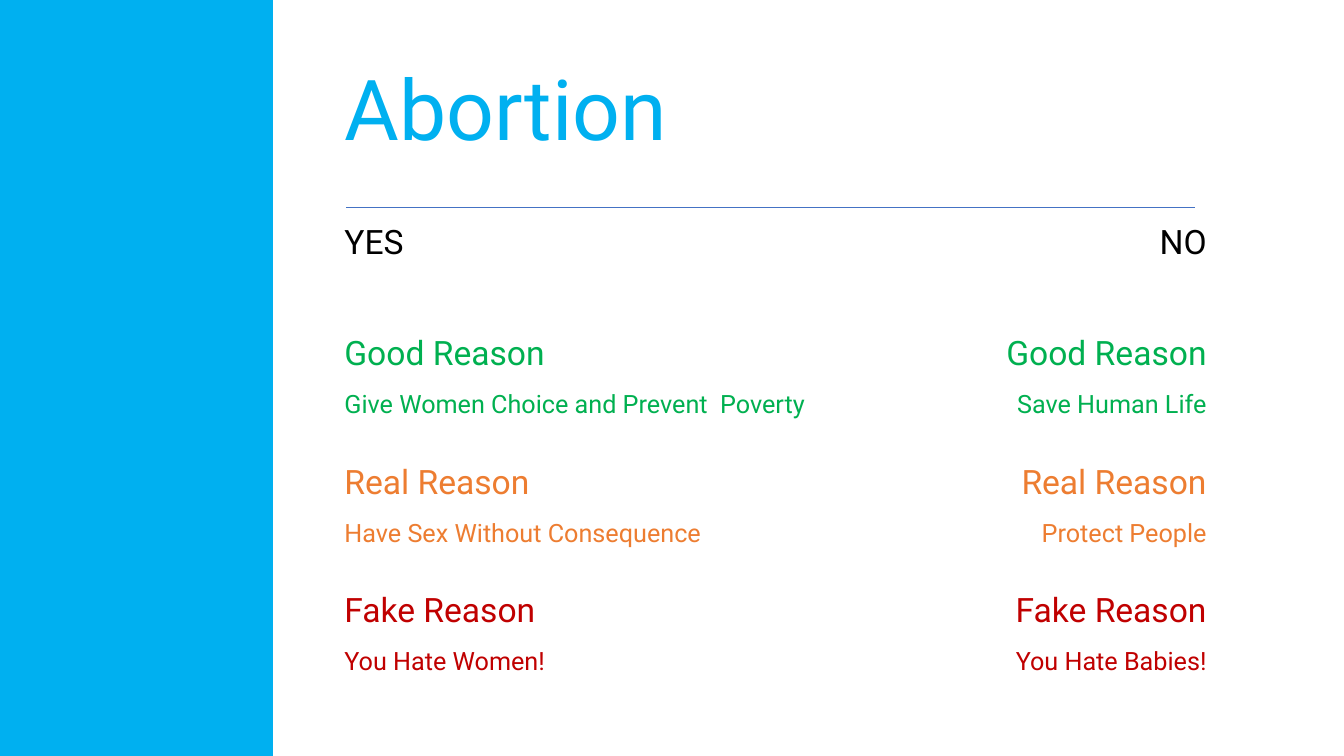
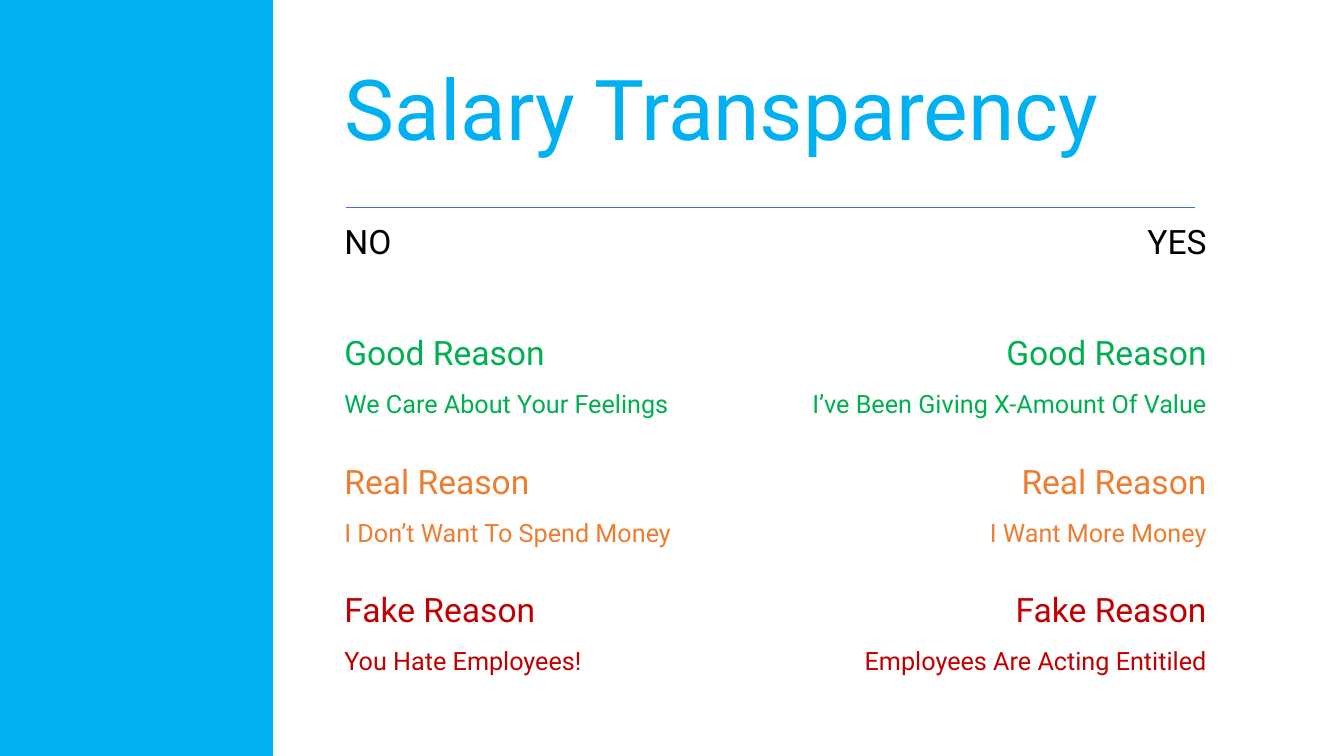
from pptx import Presentation
from pptx.dml.color import RGBColor as Rgb
from pptx.enum.shapes import MSO_CONNECTOR as Link, MSO_SHAPE as Form
from pptx.enum.text import MSO_ANCHOR as Anchor, MSO_AUTO_SIZE as Fit, PP_ALIGN as Align
from pptx.oxml.ns import qn
from pptx.util import Cm, Pt
from lxml.etree import SubElement

FONT = "Roboto"
HUES = {
    "band": "00B0F0",
    "rule": "4472C4",
    "side": "000000",
    "Good": "00B050",
    "Real": "ED7D31",
    "Fake": "C00000",
}
WIDE, HIGH = 33.87, 19.05
BODY = (8.43, 5.44, 22.23, 11.7)

DECK = [
    {
        "title": "Abortion",
        "split": 13.5,
        "sides": [
            ("YES", ["Give Women Choice and Prevent  Poverty",
                     "Have Sex Without Consequence", "You Hate Women!"]),
            ("NO", ["Save Human Life", "Protect People", "You Hate Babies!"]),
        ],
    },
    {
        "title": "Salary Transparency",
        "split": 11,
        "sides": [
            ("NO", ["We Care About Your Feelings",
                    "I Don’t Want To Spend Money", "You Hate Employees!"]),
            ("YES", ["I’ve Been Giving X-Amount Of Value",
                     "I Want More Money", "Employees Are Acting Entitiled"]),
        ],
    },
]


def tint(name):
    """Return the named colour."""
    return Rgb.from_string(HUES[name])


def write(shape, text, size=24, hue="side", align=Align.LEFT):
    """Fill a shape with one formatted paragraph."""
    frame = shape.text_frame
    frame.text = text
    frame.word_wrap = True
    frame.auto_size = Fit.NONE
    frame.vertical_anchor = Anchor.TOP
    line = frame.paragraphs[0]
    line.alignment = align
    line.line_spacing = 1.0
    font = line.runs[0].font
    font.name, font.size = FONT, Pt(size)
    font.color.rgb = tint(hue)


def label(slide, box, text, **style):
    """Add a text box in the given box."""
    write(slide.shapes.add_textbox(*map(Cm, box)), text, **style)


def frame(slide, title):
    """Place the title, the side band and the rule."""
    left, top, width, _ = BODY
    head = slide.shapes.title
    head.left, head.top, head.width, head.height = map(Cm, (left, 1.3, 23.4, 2.82))
    write(head, title, size=60, hue="band")

    band = slide.shapes.add_shape(Form.RECTANGLE, 0, 0, Cm(6.88), Cm(HIGH))
    band.shadow.inherit = False
    band.fill.solid()
    band.fill.fore_color.rgb = tint("band")
    band.line.fill.background()

    ends = (left + 0.3, top - 0.21, left + width - 0.54, top - 0.21)
    rule = slide.shapes.add_connector(Link.STRAIGHT, *map(Cm, ends))
    rule.line.color.rgb = tint("rule")
    rule.line.width = Pt(0.5)
    SubElement(rule._element.spPr, qn("a:effectLst"))


def column(slide, box, side, lines, align):
    """Place one side of the debate with its three reasons."""
    left, top, width, _ = box
    label(slide, (left, top, width, 1.27), side, align=align)
    for row, (kind, text) in enumerate(zip(("Good", "Real", "Fake"), lines)):
        y = top + 2.81 + row * 3.23
        label(slide, (left, y, width, 1.27), f"{kind} Reason", hue=kind, align=align)
        label(slide, (left, y + 1.42, width, 1.02), text, size=18, hue=kind, align=align)


def debate(deck, title, split, sides):
    """Build one slide with two opposing columns."""
    slide = deck.slides.add_slide(deck.slide_layouts[5])
    frame(slide, title)
    left, top, width, height = BODY
    boxes = [(left, top, split, height), (left + split, top, width - split, height)]
    for box, (side, lines), align in zip(boxes, sides, (Align.LEFT, Align.RIGHT)):
        column(slide, box, side, lines, align)


def main():
    """Build and save the deck."""
    deck = Presentation()
    deck.slide_width, deck.slide_height = Cm(WIDE), Cm(HIGH)
    for page in DECK:
        debate(deck, **page)
    deck.save("out.pptx")


if __name__ == "__main__":
    main()
